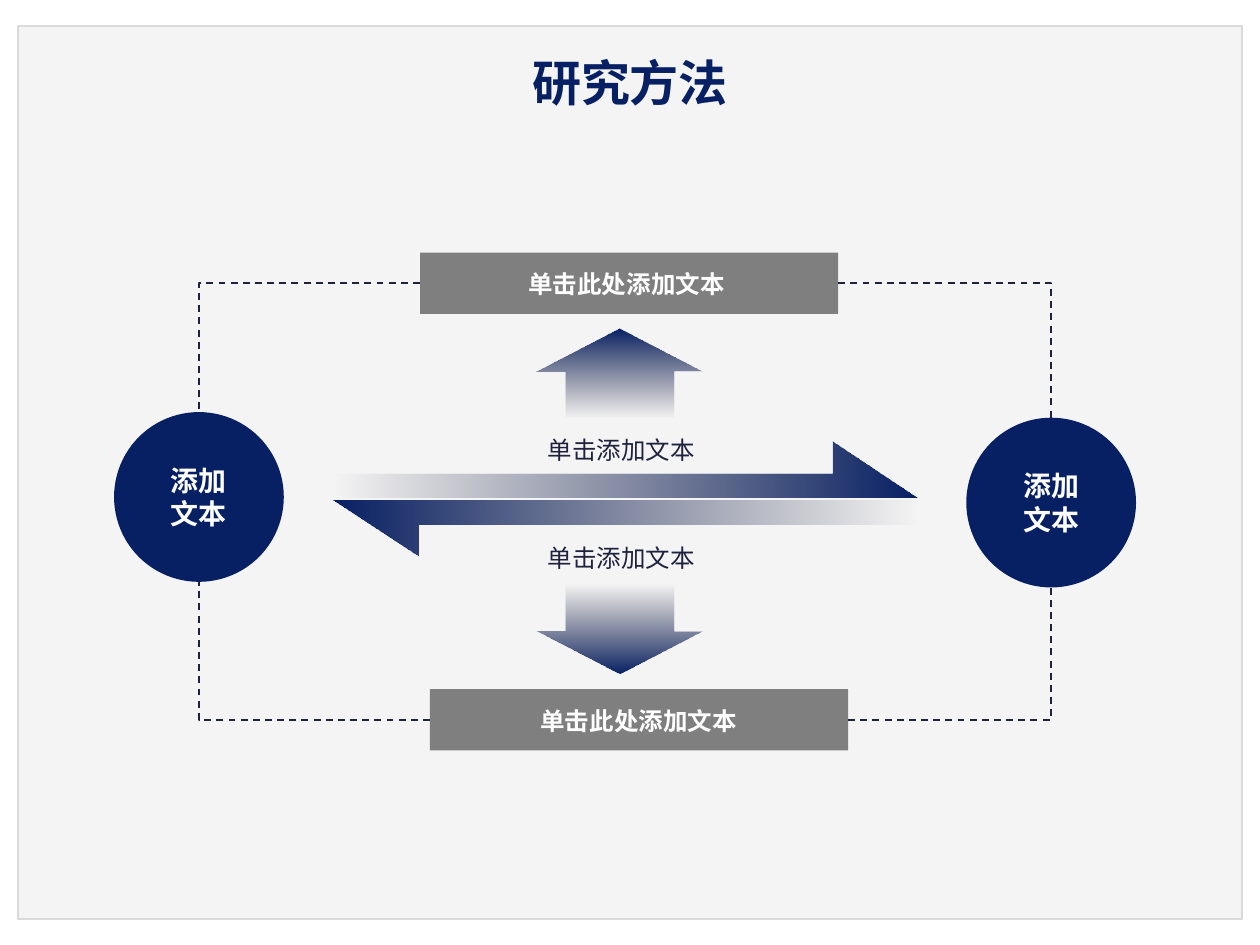
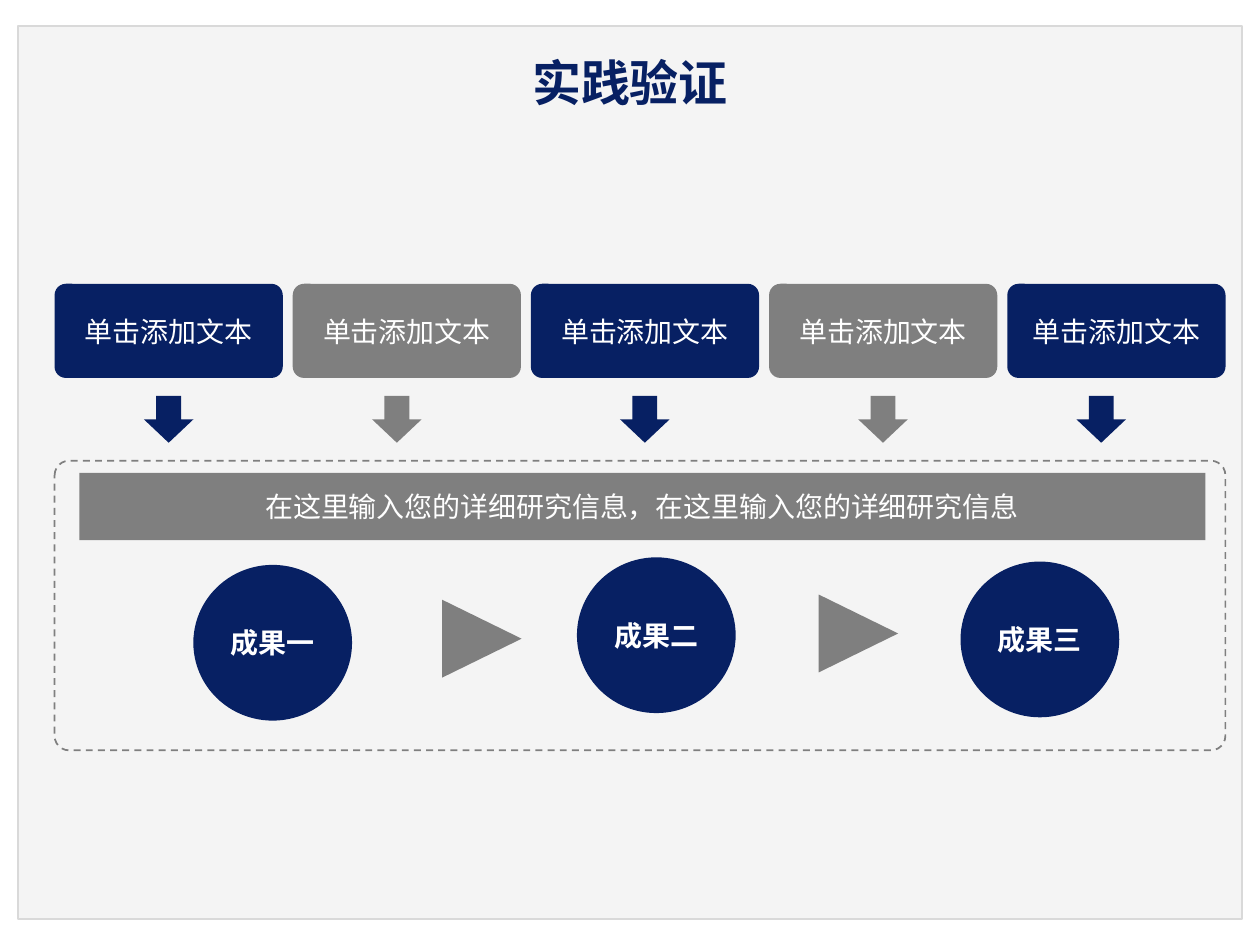
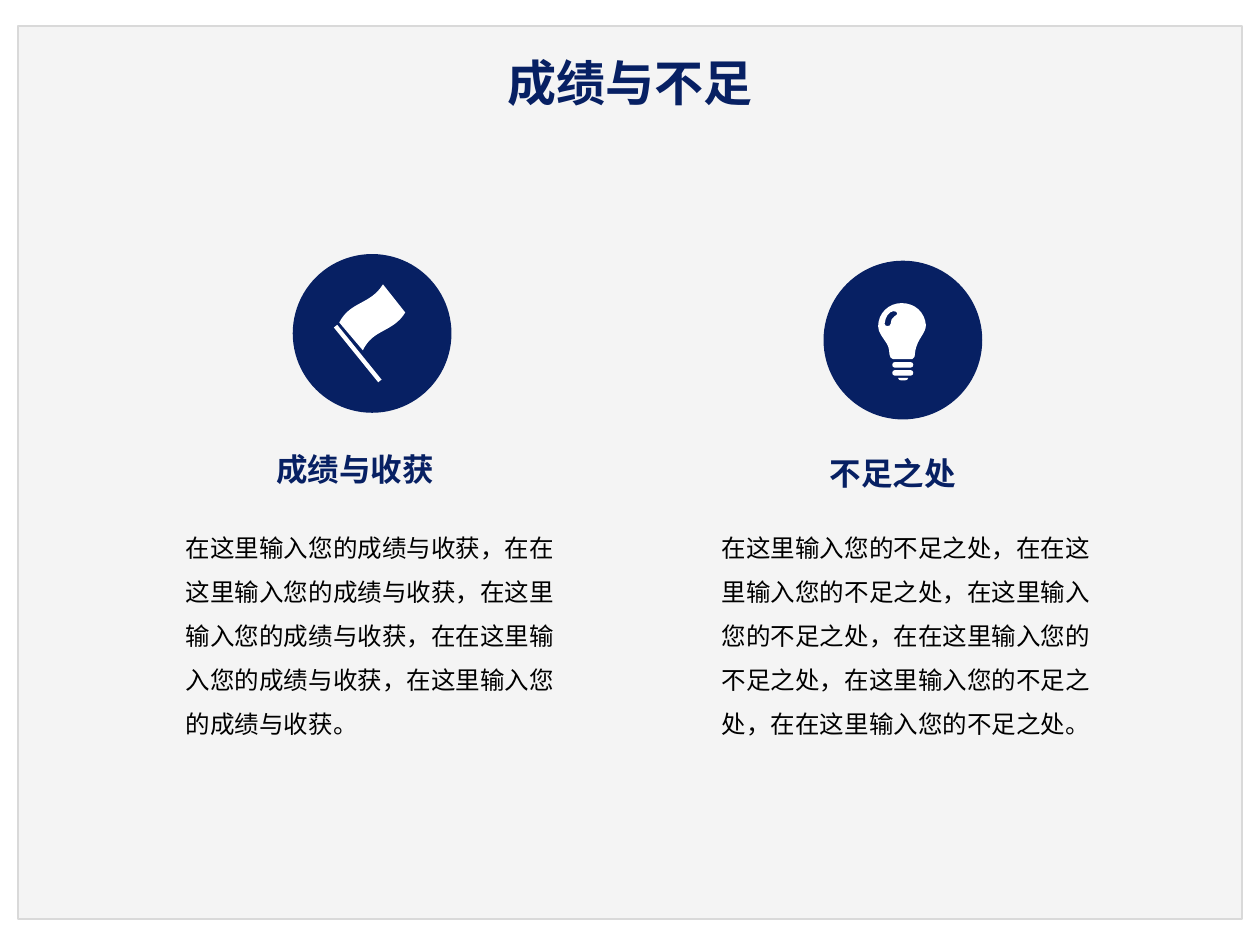
from lxml import etree
from pptx import Presentation
from pptx.dml.color import RGBColor
from pptx.enum import dml, shapes, text
from pptx.oxml import parse_xml
from pptx.oxml.ns import nsdecls, qn
from pptx.util import Pt

HUE = {
    "navy": "072063", "gray": "7F7F7F", "ink": "1F223E", "panel": "F4F4F4",
    "edge": "D9D9D9", "white": "FFFFFF", "black": "000000",
}
CJK = "Noto Sans CJK SC"
KIND = shapes.MSO_SHAPE
MID = text.PP_ALIGN.CENTER
TOP, LEFT, BOTTOM, RIGHT = range(4)


def rgb(name):
    return RGBColor.from_string(HUE[name])


# Text
def write(shape, words, size, hue, bold=False, face=CJK, align=MID,
          wrap=True, anchor=text.MSO_ANCHOR.MIDDLE, space=None):
    frame = shape.text_frame
    frame.text = words
    frame.word_wrap = wrap
    frame.vertical_anchor = anchor
    for para in frame.paragraphs:
        para.alignment = align
        para.line_spacing = space
        for run in para.runs:
            font = run.font
            font.size, font.bold, font.name = Pt(size), bold, face
            font.color.rgb = rgb(hue)
            east = etree.SubElement(run._r.get_or_add_rPr(), qn("a:ea"))
            east.set("typeface", CJK)


def label(slide, box, words, size, hue, **style):
    style.setdefault("anchor", text.MSO_ANCHOR.TOP)
    shape = slide.shapes.add_textbox(*map(Pt, box))
    write(shape, words, size, hue, **style)


# Shapes
def paint(shape, fill=None, line=None):
    shape.shadow.inherit = False
    if fill:
        shape.fill.solid()
        shape.fill.fore_color.rgb = rgb(fill)
    else:
        shape.fill.background()
    if line:
        shape.line.color.rgb = rgb(line)
        shape.line.width = Pt(1)
    else:
        shape.line.fill.background()


def block(slide, kind, box, fill=None, line=None, adj=(), turn=0):
    shape = slide.shapes.add_shape(kind, *map(Pt, box))
    for i, value in enumerate(adj):
        shape.adjustments[i] = value
    shape.rotation = turn
    paint(shape, fill, line)
    return shape


def fade(shape, angle, solid_first):
    """Blend from solid navy to clear ink, or the other way round."""
    ends = [("navy", 100), ("ink", 0)]
    if not solid_first:
        ends.reverse()
    stops = "".join(
        f'<a:gs pos="{pos}"><a:srgbClr val="{HUE[hue]}">'
        f'<a:alpha val="{alpha * 1000}"/></a:srgbClr></a:gs>'
        for pos, (hue, alpha) in zip((0, 100000), ends))
    grad = parse_xml(
        f'<a:gradFill {nsdecls("a")} rotWithShape="1"><a:gsLst>{stops}</a:gsLst>'
        f'<a:lin ang="{angle * 60000}" scaled="0"/></a:gradFill>')
    props = shape._element.spPr
    props.replace(props.find(qn("a:solidFill")), grad)


def outline(slide, loops, fill):
    """Closed loops of steps: two numbers end a line, six make a cubic."""
    pen = None
    for loop in loops:
        flat = [Pt(n) for step in loop for n in step]
        spots = list(zip(flat[::2], flat[1::2]))
        if pen is None:
            pen = slide.shapes.build_freeform(*spots[0], scale=1.0)
        else:
            pen.move_to(*spots[0])
        pen.add_line_segments(spots[1:], close=True)
    shape = pen.convert_to_shape()
    paint(shape, fill)

    # Fold the three lines of each cubic into one curve
    lines = shape._element.spPr.iter(qn("a:lnTo"))
    lines = iter(list(lines))
    for step in (step for loop in loops for step in loop[1:]):
        first = next(lines)
        if len(step) == 6:
            first.tag = qn("a:cubicBezTo")
            for _ in range(2):
                extra = next(lines)
                first.append(extra[0])
                extra.getparent().remove(extra)
    return shape


def link(slide, bar, bar_side, disc, disc_side):
    """Dashed elbow from a bar's side to a disc's top or bottom."""
    line = slide.shapes.add_connector(shapes.MSO_CONNECTOR.ELBOW, 0, 0, 0, 0)
    line.begin_connect(bar, bar_side)
    line.end_connect(disc, disc_side)
    # An ellipse has eight sites, so its side numbers double
    line._element.nvCxnSpPr.cNvCxnSpPr.endCxn.idx = disc_side * 2
    props = line._element.spPr
    props.find(qn("a:prstGeom")).set("prst", "bentConnector2")
    line.line.color.rgb = rgb("ink")
    line.line.width = Pt(1)
    line.line.dash_style = dml.MSO_LINE.DASH
    etree.SubElement(props, qn("a:effectLst"))


def page(deck, title):
    slide = deck.slides.add_slide(deck.slide_layouts[6])
    block(slide, KIND.RECTANGLE, (10.3, 15, 699.4, 510.2), "panel", "edge")
    label(slide, (36, 24.3, 648, 44.6), title, 28, "navy", bold=True,
          face="Arial", anchor=text.MSO_ANCHOR.MIDDLE)
    return slide


# Slide 1
def method(deck):
    slide = page(deck, "研究方法")

    # Long half arrows
    right = [(190.8, 270.2), (190.8, 284), (524.2, 284),
             (475.6, 252.4), (475.6, 270.2)]
    left = [(524.2, 299.8), (524.2, 285.8), (190.8, 285.8),
            (239.4, 317.5), (239.4, 299.8)]
    fade(outline(slide, [right], "navy"), 0, False)
    fade(outline(slide, [left], "navy"), 0, True)

    # Short arrows and their captions
    for kind, top, solid in ((KIND.UP_ARROW, 187.8, True),
                             (KIND.DOWN_ARROW, 334.3, False)):
        arrow = block(slide, kind, (306.5, top, 95, 50.6), "navy",
                      adj=(0.65, 0.48))
        fade(arrow, 90, solid)
    for top in (244.8, 306.7):
        label(slide, (297.5, top, 115, 24.5), "单击添加文本", 14, "ink")

    # Discs, bars and dashed links
    discs = []
    for x, y in ((65.2, 235.5), (552.2, 238.7)):
        disc = block(slide, KIND.OVAL, (x, y, 97, 97), "navy")
        write(disc, "添加\n文本", 16, "white", bold=True)
        discs.append(disc)
    for x, y, tx, ty, side in ((240, 144.4, 245.6, 150, TOP),
                               (245.7, 393.8, 252.5, 399.8, BOTTOM)):
        bar = block(slide, KIND.RECTANGLE, (x, y, 239, 35), "gray")
        label(slide, (tx, ty, 225, 24.5), "单击此处添加文本", 14, "white",
              bold=True)
        for end, disc in zip((LEFT, RIGHT), discs):
            link(slide, bar, end, disc, side)


# Slide 2
def proof(deck):
    slide = page(deck, "实践验证")
    frame = block(slide, KIND.ROUNDED_RECTANGLE, (31.2, 263.3, 669, 165.5),
                  line="gray", adj=(0.05,))
    frame.line.dash_style = dml.MSO_LINE.DASH

    # Boxes, each with an arrow below
    for i, spot in enumerate((82.2, 212.6, 354.3, 490.4, 615.1)):
        hue = ("navy", "gray")[i % 2]
        wide = 124.7 if i == 4 else 130.4
        box = block(slide, KIND.ROUNDED_RECTANGLE,
                    (31.2 + 136.1 * i, 162.2, wide, 53.8), hue, adj=(0.12,))
        write(box, "单击添加文本", 16, "white", wrap=False)
        block(slide, KIND.DOWN_ARROW, (spot, 226.2, 28.4, 26.8), hue)

    # Summary bar
    bar = block(slide, KIND.RECTANGLE, (45.3, 270.2, 643.5, 38.4), "gray")
    write(bar, "在这里输入您的详细研究信息，在这里输入您的详细研究信息",
          16, "white", wrap=False)

    # Results and the pointers between them
    for i, (top, num) in enumerate(zip((322.8, 318.5, 320.9), "一二三")):
        disc = block(slide, KIND.OVAL, (110.5 + 219.2 * i, top, 90.7, 89),
                     "navy")
        write(disc, "成果" + num, 16, "white", bold=True, wrap=False)
    for x, y in ((253.1, 342.3), (468.3, 339.3)):
        block(slide, KIND.FLOWCHART_EXTRACT, (x, y, 44.5, 45.4), "gray",
              turn=90)


def flag(slide):
    block(slide, KIND.RECTANGLE, (203.2, 181.9, 2.5, 40.3), "white", turn=321)
    cloth = [
        (193.9, 184.3), (207.4, 200.2),
        (213.1, 187.9, 224.6, 190.1, 231.6, 178.6), (218.9, 162.5),
        (211.7, 174.2, 200.2, 172.1, 193.9, 184.3)]
    outline(slide, [cloth], "white")


def bulb(slide):
    glass = [
        (515.2, 173.2),
        (507.8, 173.2, 501.8, 179, 501.8, 186.5),
        (501.8, 190.1, 504.7, 193, 506.9, 196.6),
        (508.3, 199, 508, 201, 508.3, 202.5),
        (508.5, 204, 509, 205, 510.5, 205.3),
        (521.3, 205.3),
        (522.7, 205, 522.7, 203.5, 522.9, 201.6),
        (523.4, 197, 525.5, 194, 526.6, 192.2),
        (528, 190, 529.1, 188, 529.1, 185.8),
        (528.5, 178.5, 523, 173.2, 515.2, 173.2)]
    shine = [
        (511.2, 180.7),
        (509.5, 181.5, 509, 183.6, 509, 185),
        (508.8, 186.8, 505.6, 186.8, 505.5, 185),
        (506, 181, 507.7, 178.3, 510.5, 177.8),
        (513.3, 177.8, 513.3, 180, 511.2, 180.7)]
    rings = [[
        (511.3, y), (509.4, y, 509.4, y + 3.2, 511.3, y + 3.2),
        (520.4, y + 3.2), (522.4, y + 3.2, 522.4, y, 520.4, y)]
        for y in (206.9, 211.5)]
    tip = [
        (513.2, 216), (513.4, 217, 514, 217.4, 515, 217.4),
        (517, 217.4), (518.2, 217.4, 518.8, 217, 519, 216)]
    outline(slide, [glass, shine, *rings, tip], "white")


# Slide 3
def review(deck):
    slide = page(deck, "成绩与不足")
    columns = (
        (flag, (167.3, 145.2), (150.9, 253.4, 104.4, 29), "成绩与收获",
         (99.1, 292.7, 226.8, 133),
         "在这里输入您的成绩与收获，在在这里输入您的成绩与收获，"
         "在这里输入您的成绩与收获，在在这里输入您的成绩与收获，"
         "在这里输入您的成绩与收获。"),
        (bulb, (470.6, 149), (467.1, 255.6, 86.4, 29), "不足之处",
         (405.4, 292.7, 232.6, 133),
         "在这里输入您的不足之处，在在这里输入您的不足之处，"
         "在这里输入您的不足之处，在在这里输入您的不足之处，"
         "在这里输入您的不足之处，在在这里输入您的不足之处。"),
    )
    for icon, spot, head, name, body, words in columns:
        block(slide, KIND.OVAL, (*spot, 90.7, 90.7), "navy")
        icon(slide)
        label(slide, head, name, 18, "navy", bold=True, face="Arial",
              align=None, wrap=False)
        label(slide, body, words, 14, "black", align=None, space=1.5)


def main():
    deck = Presentation()
    deck.slide_width, deck.slide_height = Pt(720), Pt(540)
    method(deck)
    proof(deck)
    review(deck)
    deck.save("out.pptx")


if __name__ == "__main__":
    main()
